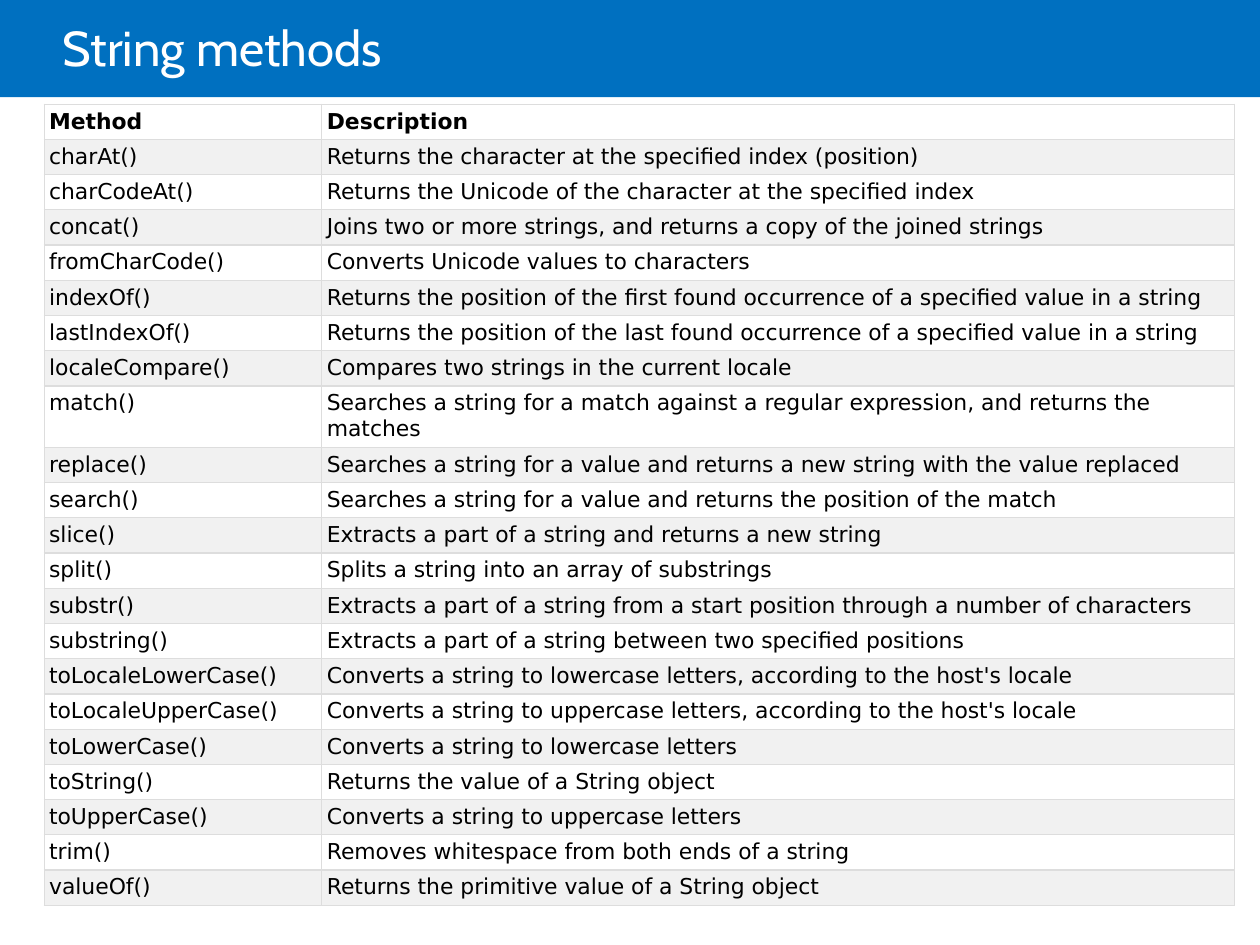
from lxml.etree import SubElement as Sub
from pptx import Presentation
from pptx.dml.color import RGBColor
from pptx.enum.shapes import MSO_SHAPE as Shape
from pptx.enum.text import MSO_ANCHOR as Anchor
from pptx.oxml.ns import qn
from pptx.util import Cm, Pt

BLUE = RGBColor(0x00, 0x70, 0xC0)
WHITE = RGBColor(0xFF, 0xFF, 0xFF)
BLACK = RGBColor(0x00, 0x00, 0x00)
GREY = RGBColor(0xF1, 0xF1, 0xF1)
RULE = RGBColor(0xDD, 0xDD, 0xDD)

ROWS = [
    ("Method", "Description"),
    ("charAt()", "Returns the character at the specified index (position)"),
    ("charCodeAt()", "Returns the Unicode of the character at the specified index"),
    ("concat()", "Joins two or more strings, and returns a copy of the joined strings"),
    ("fromCharCode()", "Converts Unicode values to characters"),
    ("indexOf()", "Returns the position of the first found occurrence of a specified value in a string"),
    ("lastIndexOf()", "Returns the position of the last found occurrence of a specified value in a string"),
    ("localeCompare()", "Compares two strings in the current locale"),
    ("match()", "Searches a string for a match against a regular expression, and returns the matches"),
    ("replace()", "Searches a string for a value and returns a new string with the value replaced"),
    ("search()", "Searches a string for a value and returns the position of the match"),
    ("slice()", "Extracts a part of a string and returns a new string"),
    ("split()", "Splits a string into an array of substrings"),
    ("substr()", "Extracts a part of a string from a start position through a number of characters"),
    ("substring()", "Extracts a part of a string between two specified positions"),
    ("toLocaleLowerCase()", "Converts a string to lowercase letters, according to the host's locale"),
    ("toLocaleUpperCase()", "Converts a string to uppercase letters, according to the host's locale"),
    ("toLowerCase()", "Converts a string to lowercase letters"),
    ("toString()", "Returns the value of a String object"),
    ("toUpperCase()", "Converts a string to uppercase letters"),
    ("trim()", "Removes whitespace from both ends of a string"),
    ("valueOf()", "Returns the primitive value of a String object"),
]


def apply(item, style):
    for name, value in style.items():
        setattr(item, name, value)


class Deck:
    head = {"name": "Cabin", "size": Pt(28)}
    body = {"name": "DejaVu Sans", "size": Pt(12.5)}
    frame = {"word_wrap": True, "vertical_anchor": Anchor.MIDDLE, "margin_left": 0}
    inset = {"margin_left": Cm(0.1), "margin_right": Cm(0.1),
             "margin_top": Cm(0.09), "margin_bottom": Cm(0.09)}
    flags = {"first_row": False, "horz_banding": False}

    def __init__(self, wide, high):
        self.show = Presentation()
        apply(self.show, {"slide_width": Cm(wide), "slide_height": Cm(high)})
        self.slide = self.show.slides.add_slide(self.show.slide_layouts[6])

    def band(self, *box):
        bar = self.slide.shapes.add_shape(Shape.RECTANGLE, *map(Cm, box))
        bar.shadow.inherit = False
        bar.fill.solid()
        bar.fill.fore_color.rgb = BLUE
        bar.line.fill.background()

    def title(self, text, *box):
        frame = self.slide.shapes.add_textbox(*map(Cm, box)).text_frame
        apply(frame, self.frame)
        para = frame.paragraphs[0]
        para.line_spacing = 0.85
        self.label(para, text, WHITE, self.head)

    def label(self, para, text, color, style):
        run = para.add_run()
        run.text = text
        apply(run.font, style)
        run.font.color.rgb = color

    def edge(self, cell):
        props = cell._tc.get_or_add_tcPr()
        for side in ("lnL", "lnR", "lnT", "lnB"):
            line = Sub(props, qn(f"a:{side}"), w=str(Pt(0.75)))
            Sub(Sub(line, qn("a:solidFill")), qn("a:srgbClr"), val=str(RULE))

    def table(self, rows, left, top, cols, step, tall):
        highs = [tall.get(row[0], step) for row in rows]
        box = map(Cm, (left, top, sum(cols), sum(highs)))
        grid = self.slide.shapes.add_table(len(rows), len(cols), *box).table
        apply(grid, self.flags)
        for col, wide in zip(grid.columns, cols):
            col.width = Cm(wide)
        for i, (row, high) in enumerate(zip(rows, highs)):
            grid.rows[i].height = Cm(high)
            for j, text in enumerate(row):
                cell = grid.cell(i, j)
                apply(cell, self.inset)
                self.edge(cell)
                cell.fill.solid()
                cell.fill.fore_color.rgb = GREY if i % 2 else WHITE
                style = {**self.body, "bold": i == 0}
                self.label(cell.text_frame.paragraphs[0], text, BLACK, style)


def main():
    deck = Deck(25.4, 19.05)
    deck.band(0, 0, 25.4, 1.96)
    deck.title("String methods", 1.27, 0, 21.59, 2.06)
    deck.table(ROWS, 0.89, 2.1, (5.6, 18.4), 0.7, {"match()": 1.22})
    deck.show.save("out.pptx")


if __name__ == "__main__":
    main()
